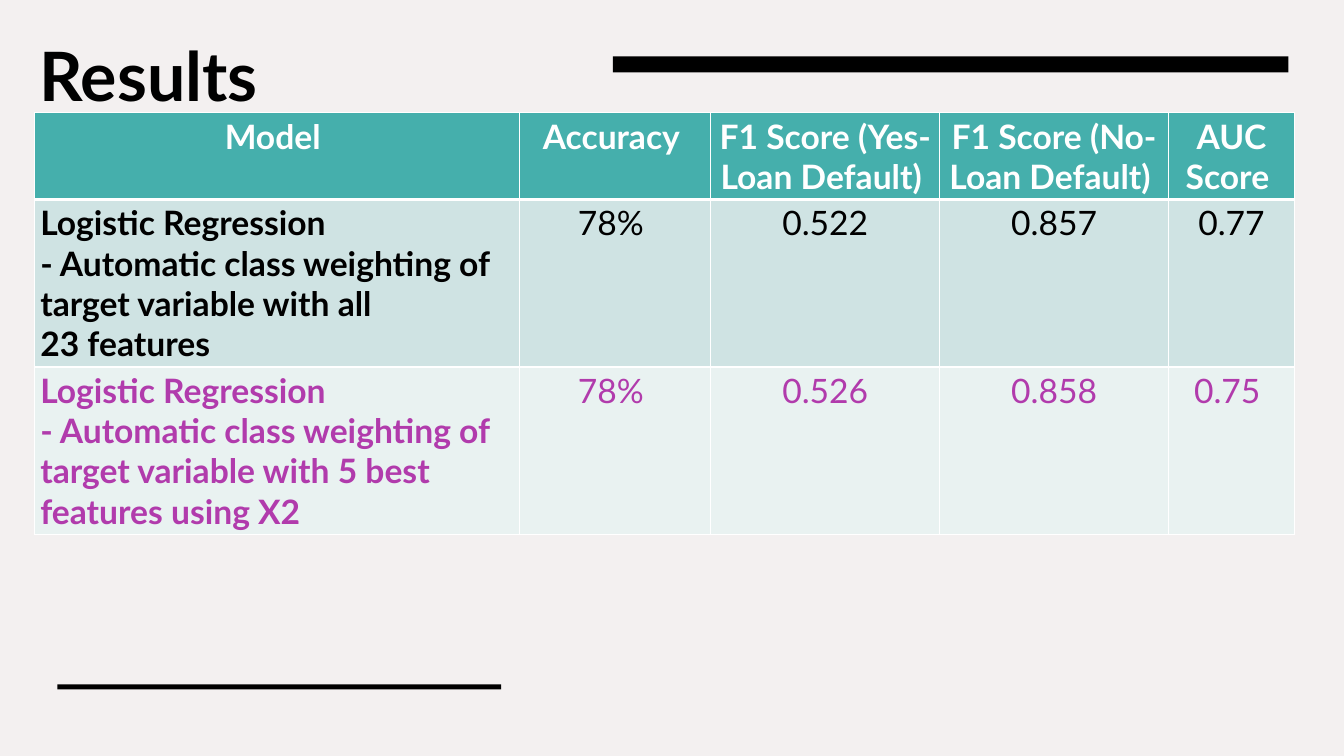
from lxml.etree import SubElement
from pptx import Presentation
from pptx.dml.color import RGBColor
from pptx.enum.shapes import MSO_SHAPE
from pptx.enum.text import MSO_ANCHOR, MSO_AUTO_SIZE, PP_ALIGN
from pptx.oxml.ns import qn
from pptx.util import Inches, Pt

NBSP = chr(160)
TITLE = "Results"
HEADER = [
    f"Model{NBSP}",
    f"Accuracy{NBSP}",
    f"F1 Score (Yes-Loan Default){NBSP}",
    f"F1 Score (No-Loan Default){NBSP}",
    f"AUC Score{NBSP}",
]
MODEL = f"Logistic Regression{NBSP * 2}\n- Automatic class weighting of target variable with "
RESULTS = [
    [f"{MODEL}all 23{NBSP}features{NBSP}", f"78%{NBSP}", "0.522", "0.857", "0.77"],
    [f"{MODEL}5 best features using X2{NBSP}", f"78%{NBSP}", "0.526", "0.858", f"0.75{NBSP}"],
]

COLORS = {
    "background": "F3F0F0",
    "ink": "000000",
    "white": "FFFFFF",
    "header": "45AFAC",
    "band": "CFE3E3",
    "light": "E9F2F1",
    "highlight": "B13BAC",
}
ROW_STYLES = [("header", "white"), ("band", "ink"), ("light", "highlight")]
FONT = "Lato"
SLIDE_SIZE = (13.33, 7.5)
TITLE_BOX = (0.29, 0.28, 6.71, 0.8)
BARS = [(6.08, 0.56, 6.7, 0.16), (0.57, 6.79, 4.4, 0.05)]
TABLE_ORIGIN = (0.34, 1.12)
COLUMNS = [4.81, 1.9, 2.27, 2.27, 1.25]
ROWS = [0.85, 1.66, 1.66]


def color(name):
    return RGBColor.from_string(COLORS[name])


def write_text(frame, text, size=24, ink="ink", bold=False, align=PP_ALIGN.LEFT):
    frame.word_wrap = True
    frame.text = text
    for paragraph in frame.paragraphs:
        paragraph.alignment = align
        paragraph.line_spacing = 1.0
        paragraph.space_before = Pt(0)
        font = paragraph.runs[0].font
        font.name = FONT
        font.size = Pt(size)
        font.bold = bold
        font.color.rgb = color(ink)


def add_borders(cell, bottom_width):
    properties = cell._tc.get_or_add_tcPr()
    widths = {"a:lnL": 1, "a:lnR": 1, "a:lnT": 1, "a:lnB": bottom_width}
    for tag, width in widths.items():
        line = SubElement(properties, qn(tag), w=str(Pt(width)))
        fill = SubElement(line, qn("a:solidFill"))
        SubElement(fill, qn("a:srgbClr"), val=COLORS["white"])


def add_title(slide):
    title = slide.shapes.title
    title.left, title.top, title.width, title.height = map(Inches, TITLE_BOX)
    frame = title.text_frame
    frame.auto_size = MSO_AUTO_SIZE.NONE
    frame.vertical_anchor = MSO_ANCHOR.TOP
    write_text(frame, TITLE, size=48.6, bold=True)


def add_bar(slide, box):
    bar = slide.shapes.add_shape(MSO_SHAPE.RECTANGLE, *map(Inches, box))
    bar.shadow.inherit = False
    bar.fill.solid()
    bar.fill.fore_color.rgb = color("ink")
    bar.line.fill.background()


def add_results_table(slide):
    size = (sum(COLUMNS), sum(ROWS))
    table = slide.shapes.add_table(
        len(ROWS), len(COLUMNS), *map(Inches, TABLE_ORIGIN + size)
    ).table
    table.horz_banding = False
    for column, width in zip(table.columns, COLUMNS):
        column.width = Inches(width)
    for row, height in zip(table.rows, ROWS):
        row.height = Inches(height)

    for row_index, texts in enumerate([HEADER] + RESULTS):
        fill, ink = ROW_STYLES[row_index]
        is_header = row_index == 0
        for column_index, text in enumerate(texts):
            is_model = column_index == 0
            cell = table.cell(row_index, column_index)
            cell.margin_left = cell.margin_right = Inches(0.06)
            cell.margin_top = cell.margin_bottom = Inches(0.03)
            add_borders(cell, bottom_width=3 if is_header else 1)
            cell.fill.solid()
            cell.fill.fore_color.rgb = color(fill)
            left_aligned = is_model and not is_header
            write_text(
                cell.text_frame,
                text,
                ink=ink,
                bold=is_header or is_model,
                align=PP_ALIGN.LEFT if left_aligned else PP_ALIGN.CENTER,
            )


def main():
    presentation = Presentation()
    presentation.slide_width, presentation.slide_height = map(Inches, SLIDE_SIZE)
    slide = presentation.slides.add_slide(presentation.slide_layouts[5])
    slide.background.fill.solid()
    slide.background.fill.fore_color.rgb = color("background")
    add_title(slide)
    for box in BARS:
        add_bar(slide, box)
    add_results_table(slide)
    presentation.save("out.pptx")


if __name__ == "__main__":
    main()
